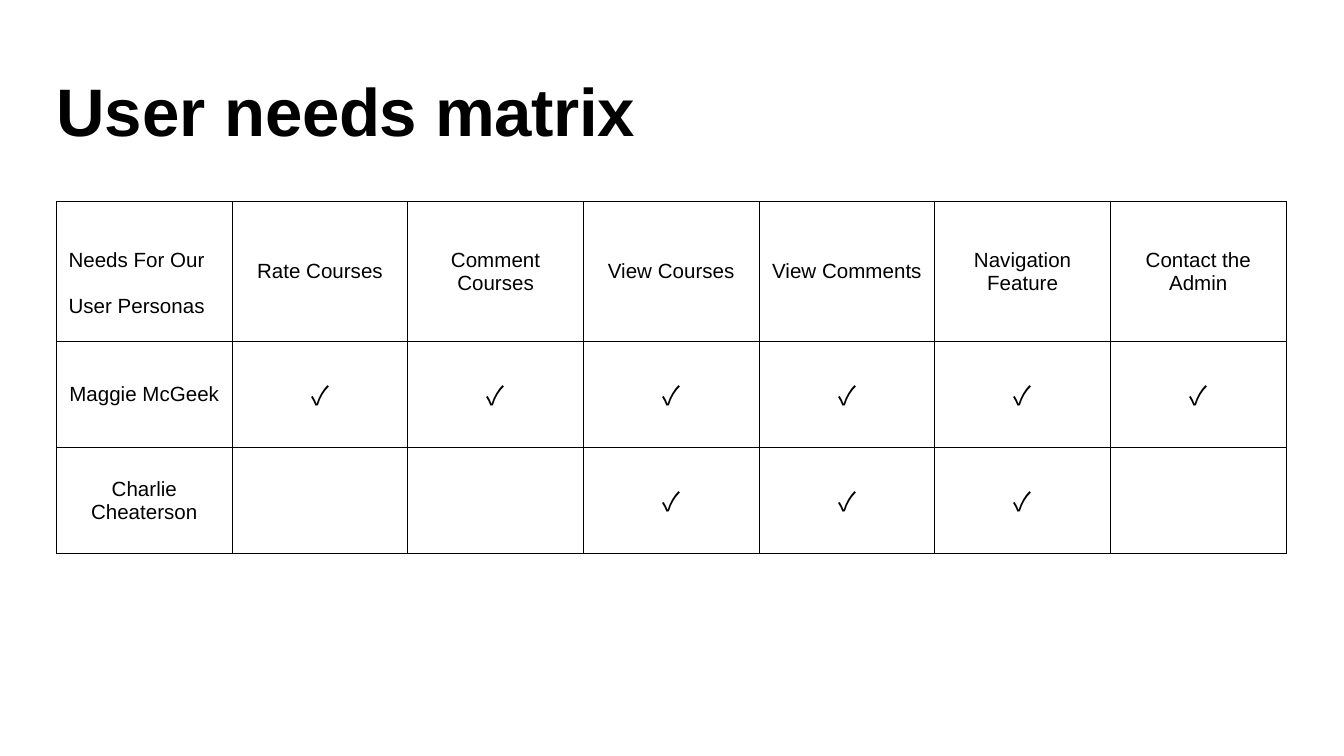
from dataclasses import dataclass

from lxml.etree import SubElement
from pptx import Presentation
from pptx.dml.color import RGBColor
from pptx.enum.text import MSO_ANCHOR, PP_ALIGN
from pptx.oxml.ns import qn
from pptx.util import Inches, Pt

TITLE = ["User ", "needs matrix"]
CORNER = "Needs For Our User Personas"
NEEDS = ["Rate Courses", "Comment Courses", "View Courses", "View Comments",
         "Navigation Feature", "Contact the Admin"]
PERSONAS = {
    "Maggie McGeek": NEEDS,
    "Charlie Cheaterson": ["View Courses", "View Comments", "Navigation Feature"],
}
CHECK = "✓"


@dataclass(frozen=True)
class Theme:
    ink: str = "000000"
    font: str = "Arial"
    check_font: str = "Noto Sans CJK JP"
    title_size: int = 36
    label_size: int = 11
    check_size: int = 14
    label_spacing: float = 1.02
    corner_spacing: float = 2.04
    border: float = 0.75


THEME = Theme()


def add_run(paragraph, text, size, font=THEME.font, bold=False):
    run = paragraph.add_run()
    run.text = text
    run.font.name = font
    run.font.size = Pt(size)
    run.font.bold = bold
    run.font.color.rgb = RGBColor.from_string(THEME.ink)
    if font != THEME.font:
        for tag in ("a:ea", "a:sym"):
            SubElement(run.font._element, qn(tag), typeface=font)
    return run


def add_title(slide):
    shape = slide.shapes.add_textbox(Inches(0.41), 0, Inches(8.84), Inches(1.12))
    frame = shape.text_frame
    frame.word_wrap = True
    frame.vertical_anchor = MSO_ANCHOR.MIDDLE
    frame.margin_left = Inches(0.01)
    frame.margin_top = Inches(0.51)
    frame.margin_right = frame.margin_bottom = 0
    first, second = [add_run(frame.paragraphs[0], text, THEME.title_size, bold=True)
                     for text in TITLE]
    second.font._element.set("spc", "-20")


def style_cell(cell):
    cell.vertical_anchor = MSO_ANCHOR.MIDDLE
    cell.margin_left = cell.margin_right = Inches(0.06)
    cell.margin_top = cell.margin_bottom = 0
    properties = cell._tc.get_or_add_tcPr()
    for side in ("a:lnL", "a:lnR", "a:lnT", "a:lnB"):
        line = SubElement(properties, qn(side), w=str(Pt(THEME.border)))
        fill = SubElement(line, qn("a:solidFill"))
        SubElement(fill, qn("a:srgbClr"), val=THEME.ink)
    cell.fill.background()


def add_matrix(slide):
    rows = [[CORNER, *NEEDS]]
    rows += [[name, *[CHECK if need in needs else "" for need in NEEDS]]
             for name, needs in PERSONAS.items()]
    heights = [Inches(1.04)] + [Inches(0.79)] * len(PERSONAS)
    width = Inches(9.15)
    table = slide.shapes.add_table(len(rows), len(rows[0]), Inches(0.42), Inches(1.5),
                                   width, sum(heights)).table
    table.first_row = table.horz_banding = False
    for column in table.columns:
        column.width = width // len(rows[0])
    for row, height, texts in zip(table.rows, heights, rows):
        row.height = height
        for cell, text in zip(row.cells, texts):
            style_cell(cell)
            paragraph = cell.text_frame.paragraphs[0]
            paragraph.alignment = PP_ALIGN.CENTER
            if text == CHECK:
                add_run(paragraph, text, THEME.check_size, THEME.check_font)
            elif text:
                paragraph.line_spacing = THEME.label_spacing
                add_run(paragraph, text, THEME.label_size)
    corner = table.cell(0, 0)
    corner.margin_left = Inches(0.09)
    corner.text_frame.paragraphs[0].alignment = PP_ALIGN.LEFT
    corner.text_frame.paragraphs[0].line_spacing = THEME.corner_spacing


def main():
    """Build the user needs matrix slide."""
    presentation = Presentation()
    presentation.slide_width = Inches(10)
    presentation.slide_height = Inches(10) * 9 // 16
    slide = presentation.slides.add_slide(presentation.slide_layouts[6])
    add_title(slide)
    add_matrix(slide)
    presentation.save("out.pptx")


if __name__ == "__main__":
    main()
